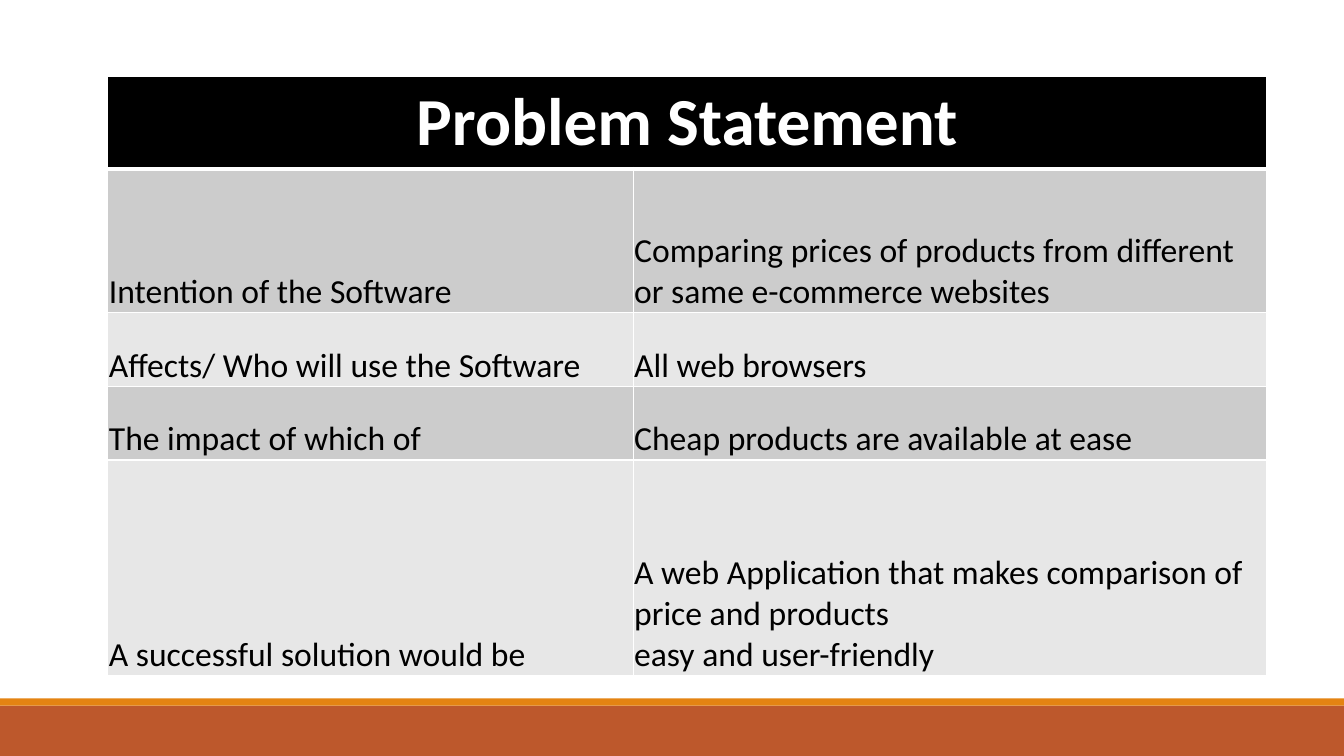
"""Build the problem statement slide: a two-column table above a two-tone footer."""
from lxml import etree
from pptx import Presentation
from pptx.dml.color import RGBColor
from pptx.enum import shapes, text
from pptx.oxml import ns
from pptx.util import Inches, Pt

HEADING = "Problem Statement"
ROWS = [
    ("Intention of the Software",
     ["Comparing prices of products from different or same e-commerce websites"]),
    ("Affects/ Who will use the Software", ["All web browsers"]),
    ("The impact of which of", ["Cheap products are available at ease"]),
    ("A successful solution would be",
     ["A web Application that makes comparison of price and products",
      "easy and user-friendly"]),
]
COL_WIDTHS = [5.21, 6.28]
ROW_HEIGHTS = [0.88, 1.43, 0.73, 0.73, 2.14]
LEFT, TOP = 1.07, 0.76
FONT = "Calibri"

BLACK = RGBColor(0x00, 0x00, 0x00)
WHITE = RGBColor(0xFF, 0xFF, 0xFF)
DARK_BAND = RGBColor(0xCC, 0xCC, 0xCC)
LIGHT_BAND = RGBColor(0xE7, 0xE7, 0xE7)
RUST = RGBColor(0xBD, 0x58, 0x2C)
ORANGE = RGBColor(0xE4, 0x83, 0x12)

FOOTER = [(7, 0.5, RUST), (6.93, 0.07, ORANGE)]


def add_footer_bar(s, top, height, color):
    """Draw one full-width footer bar."""
    sp = s.shapes.add_shape(shapes.MSO_SHAPE.RECTANGLE, 0, Inches(top),
                            Inches(13.33), Inches(height))
    sp.shadow.inherit = False
    sp.fill.solid()
    sp.fill.fore_color.rgb = color
    sp.line.fill.background()


def style_cell(cell, fill, bottom=1):
    """Give a cell white borders and a solid fill."""
    tc_pr = cell._tc.get_or_add_tcPr()
    for side, width in (("L", 1), ("R", 1), ("T", 1), ("B", bottom)):
        ln = etree.SubElement(tc_pr, ns.qn(f"a:ln{side}"), w=str(Pt(width)))
        solid = etree.SubElement(ln, ns.qn("a:solidFill"))
        etree.SubElement(solid, ns.qn("a:srgbClr"), val=str(WHITE))
    cell.fill.solid()
    cell.fill.fore_color.rgb = fill


def write_cell(cell, lines, size, color, bold=False):
    """Write lines into a cell, separated by line breaks."""
    p = cell.text_frame.paragraphs[0]
    for i, line in enumerate(lines):
        if i:
            p.add_line_break()
        r = p.add_run()
        r.text = line
        r.font.name, r.font.size, r.font.bold = FONT, Pt(size), bold
        r.font.color.rgb = color
    return p


def add_problem_table(s):
    """Add the table with its merged heading and banded rows."""
    table = s.shapes.add_table(
        len(ROW_HEIGHTS), len(COL_WIDTHS), Inches(LEFT), Inches(TOP),
        Inches(sum(COL_WIDTHS)), Inches(sum(ROW_HEIGHTS))).table
    for col, width in zip(table.columns, COL_WIDTHS):
        col.width = Inches(width)
    for row, height in zip(table.rows, ROW_HEIGHTS):
        row.height = Inches(height)

    heading = table.cell(0, 0)
    heading.merge(table.cell(0, 1))
    for cell in table.rows[0].cells:
        style_cell(cell, BLACK, bottom=3)
    p = write_cell(heading, [HEADING], 48, WHITE, bold=True)
    p.alignment = text.PP_ALIGN.CENTER

    for i, (label, answer) in enumerate(ROWS, 1):
        for cell, lines in zip(table.rows[i].cells, ([label], answer)):
            style_cell(cell, DARK_BAND if i % 2 else LIGHT_BAND)
            cell.vertical_anchor = text.MSO_ANCHOR.BOTTOM
            cell.margin_left = cell.margin_right = cell.margin_top = Inches(0.01)
            cell.margin_bottom = 0
            write_cell(cell, lines, 24, BLACK)


def main():
    """Create and save the presentation."""
    prs = Presentation()
    prs.slide_width, prs.slide_height = Inches(13.33), Inches(7.5)
    s = prs.slides.add_slide(prs.slide_layouts[6])
    for bar in FOOTER:
        add_footer_bar(s, *bar)
    add_problem_table(s)
    prs.save("out.pptx")


if __name__ == "__main__":
    main()
